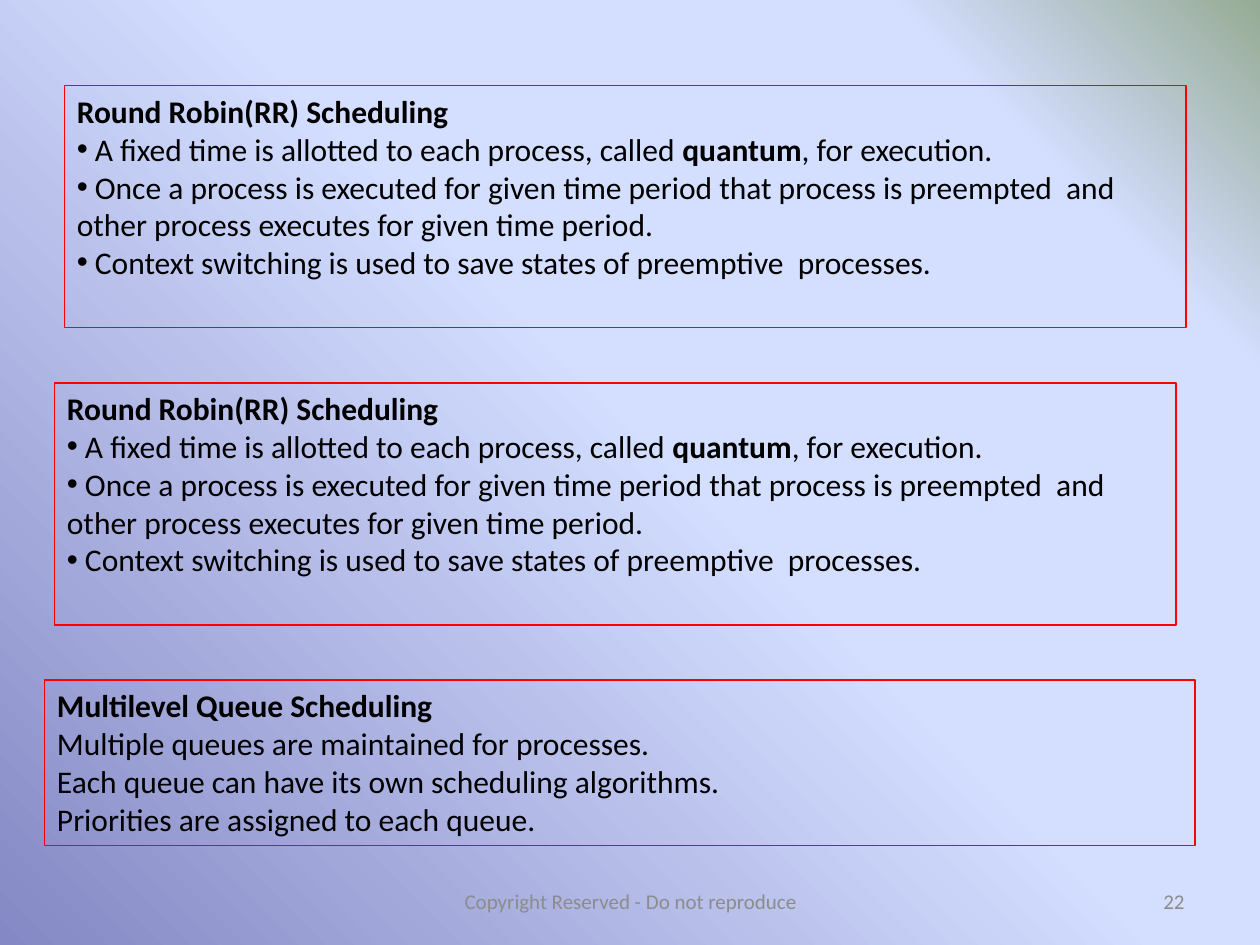
"""Build the slide on round robin and multilevel queue scheduling."""
import pptx
import pptx.dml.color
import pptx.enum.shapes
import pptx.enum.text
import pptx.util
from lxml import etree
from pptx.oxml.ns import qn

Cm = pptx.util.Cm
Pt = pptx.util.Pt
ALIGN = pptx.enum.text.PP_ALIGN
ANCHOR = pptx.enum.text.MSO_ANCHOR

FONT = "Calibri"
COLORS = {"text": "000000", "footer": "8C8C8C", "border": "FF0000"}
BACKGROUND_STOPS = [(0, "8488C4"), (53, "D4DEFF"), (83, "D4DEFF"), (100, "96AB94")]

ROUND_ROBIN = {
    "title": "Round Robin(RR) Scheduling",
    "bullet": "•",
    "lines": [
        [" A fixed time is allotted to each process, called\u00a0", "quantum", ", for execution."],
        [" Once a process is executed for given time period that process is preempted  and "
         "other process executes for given time period."],
        [" Context switching is used to save states of preemptive  processes."],
    ],
    "size": (22.61, 4.88),
}
MULTILEVEL_QUEUE = {
    "title": "Multilevel Queue Scheduling",
    "bullet": None,
    "lines": [
        ["Multiple queues are maintained for processes."],
        ["Each queue can have its own scheduling algorithms."],
        ["Priorities are assigned to each queue."],
    ],
    "size": (23.19, 3.33),
}
PANELS = [ROUND_ROBIN, ROUND_ROBIN, MULTILEVEL_QUEUE]
PANEL_LEFT, PANEL_TOP = 1.3, 1.73
STEP_LEFT, STEP_TOP = -0.2, 5.99

FOOTERS = [
    ("Copyright Reserved - Do not reproduce", 8.69, 8.05, ALIGN.CENTER),
    ("22", 18.21, 5.92, ALIGN.RIGHT),
]
FOOTER_TOP, FOOTER_HEIGHT = 17.65, 1.02


def rgb(name):
    return pptx.dml.color.RGBColor.from_string(COLORS[name])


def add_run(paragraph, text, size, color, bold=False):
    run = paragraph.add_run()
    run.text = text
    run.font.name = FONT
    run.font.size = Pt(size)
    run.font.bold = bold
    run.font.color.rgb = rgb(color)


def paint_background(slide):
    fill = slide.background.fill
    fill.gradient()
    fill.gradient_angle = 45
    stops = next(slide.background._cSld.iter(qn("a:gsLst")))
    for stop in list(stops):
        stops.remove(stop)
    for percent, color in BACKGROUND_STOPS:
        stop = etree.SubElement(stops, qn("a:gs"), pos=str(percent * 1000))
        etree.SubElement(stop, qn("a:srgbClr"), val=color)


def add_panel(slide, panel, left, top):
    width, height = panel["size"]
    shape = slide.shapes.add_shape(
        pptx.enum.shapes.MSO_SHAPE.RECTANGLE, Cm(left), Cm(top), Cm(width), Cm(height))
    shape.shadow.inherit = False
    shape.fill.background()
    shape.line.color.rgb = rgb("border")
    shape.line.width = Pt(0.75)
    frame = shape.text_frame
    frame.word_wrap = True
    frame.vertical_anchor = ANCHOR.TOP
    heading = frame.paragraphs[0]
    heading.alignment = ALIGN.LEFT
    add_run(heading, panel["title"], 18, "text", bold=True)
    for line in panel["lines"]:
        paragraph = frame.add_paragraph()
        paragraph.alignment = ALIGN.LEFT
        if panel["bullet"]:
            properties = paragraph._p.get_or_add_pPr()
            etree.SubElement(properties, qn("a:buFont"), typeface="Arial")
            etree.SubElement(properties, qn("a:buChar"), char=panel["bullet"])
        for position, text in enumerate(line):
            add_run(paragraph, text, 18, "text", bold=position % 2 == 1)


def add_footer(slide, text, left, width, alignment):
    box = slide.shapes.add_textbox(Cm(left), Cm(FOOTER_TOP), Cm(width), Cm(FOOTER_HEIGHT))
    frame = box.text_frame
    frame.word_wrap = True
    frame.vertical_anchor = ANCHOR.MIDDLE
    paragraph = frame.paragraphs[0]
    paragraph.alignment = alignment
    add_run(paragraph, text, 12, "footer")


presentation = pptx.Presentation()
presentation.slide_width = Cm(25.4)
presentation.slide_height = Cm(19.05)
slide = presentation.slides.add_slide(presentation.slide_layouts[6])
paint_background(slide)
for footer in FOOTERS:
    add_footer(slide, *footer)
for index, panel in enumerate(PANELS):
    add_panel(slide, panel, PANEL_LEFT + index * STEP_LEFT, PANEL_TOP + index * STEP_TOP)
presentation.save("out.pptx")
